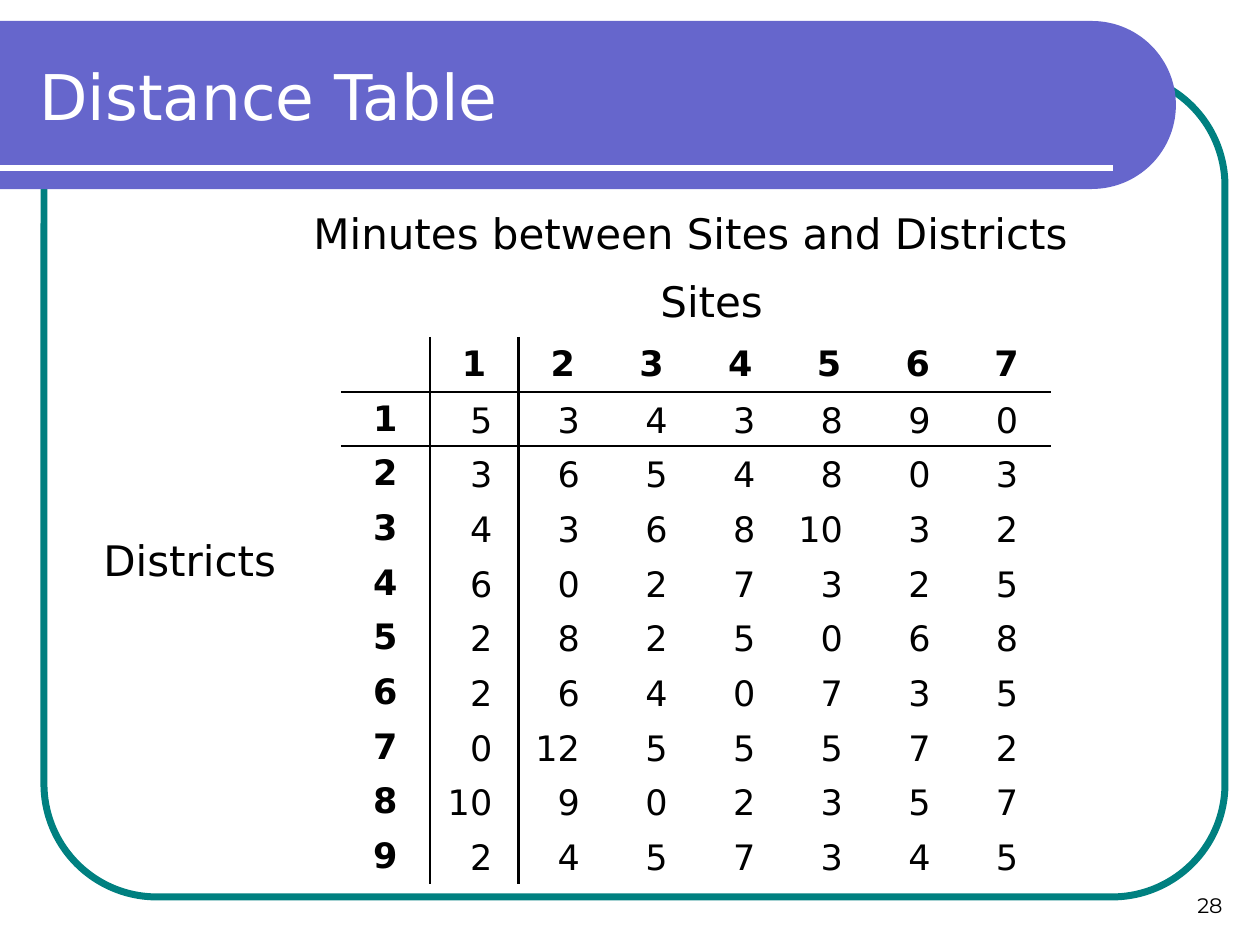
"""Build the distance table slide."""
import math

from lxml import etree
from pptx import Presentation
from pptx.dml.color import RGBColor
from pptx.enum.shapes import MSO_CONNECTOR, MSO_SHAPE
from pptx.enum.text import MSO_ANCHOR, PP_ALIGN
from pptx.oxml.ns import qn
from pptx.util import Pt

PIXEL = 914400 // 126
LEFT, CENTER, RIGHT = PP_ALIGN.LEFT, PP_ALIGN.CENTER, PP_ALIGN.RIGHT
MIDDLE, BOTTOM = MSO_ANCHOR.MIDDLE, MSO_ANCHOR.BOTTOM
ROUNDED = MSO_SHAPE.ROUNDED_RECTANGLE
STRAIGHT = MSO_CONNECTOR.STRAIGHT
PLAIN_TABLE = "{2D5ABB26-0587-4C30-8999-92F81FD0307C}"
COLORS = {"white": "FFFFFF", "black": "000000", "teal": "008080", "violet": "6666CC"}
MINUTES = [
    [5, 3, 4, 3, 8, 9, 0],
    [3, 6, 5, 4, 8, 0, 3],
    [4, 3, 6, 8, 10, 3, 2],
    [6, 0, 2, 7, 3, 2, 5],
    [2, 8, 2, 5, 0, 6, 8],
    [2, 6, 4, 0, 7, 3, 5],
    [0, 12, 5, 5, 5, 7, 2],
    [10, 9, 0, 2, 3, 5, 7],
    [2, 4, 5, 7, 3, 4, 5],
]


def px(*lengths):
    """Turn pixel lengths into EMU."""
    return [round(length * PIXEL) for length in lengths]


def color(name):
    """Return the named color."""
    return RGBColor.from_string(COLORS[name])


def write(frame, text, size=24, font="DejaVu Sans", ink="black", bold=False, align=LEFT):
    """Write formatted text into a text frame."""
    paragraph = frame.paragraphs[0]
    paragraph.alignment = align
    run = paragraph.add_run()
    run.text = text
    run.font.size, run.font.name, run.font.bold = Pt(size), font, bold
    run.font.color.rgb = color(ink)


def add_text(slide, box, text, anchor=MIDDLE, **style):
    """Add a wrapping text box."""
    frame = slide.shapes.add_textbox(*px(*box)).text_frame
    frame.word_wrap = True
    frame.vertical_anchor = anchor
    write(frame, text, **style)


def add_frame(slide, box):
    """Add the rounded outline."""
    shape = slide.shapes.add_shape(ROUNDED, *px(*box))
    shape.adjustments[0] = 0.137
    shape.shadow.inherit = False
    shape.fill.background()
    shape.line.color.rgb = color("teal")
    shape.line.width = Pt(4)


def add_banner(slide, top, straight_width, radius, steps=60):
    """Add a title band with a semicircular right end."""
    angles = [math.pi * (step / steps - 0.5) for step in range(steps + 1)]
    arc = [px(straight_width + radius * math.cos(angle),
              top + radius + radius * math.sin(angle)) for angle in angles]
    builder = slide.shapes.build_freeform(*px(0, top))
    builder.add_line_segments(arc + [px(0, top + 2 * radius)], close=True)
    shape = builder.convert_to_shape()
    shape.shadow.inherit = False
    shape.fill.solid()
    shape.fill.fore_color.rgb = color("violet")
    shape.line.fill.background()


def add_rule(slide, ends):
    """Add the white line under the title."""
    connector = slide.shapes.add_connector(STRAIGHT, *px(*ends))
    connector.line.color.rgb = color("white")
    connector.line.width = Pt(3)
    etree.SubElement(connector._element.spPr, qn("a:effectLst"))


def add_borders(cell, sides):
    """Draw black borders on the given sides, in schema order."""
    properties = cell._tc.get_or_add_tcPr()
    for position, side in enumerate(sides):
        line = etree.Element(qn("a:ln" + side), w=str(Pt(1.5)))
        fill = etree.SubElement(line, qn("a:solidFill"))
        etree.SubElement(fill, qn("a:srgbClr"), val=COLORS["black"])
        properties.insert(position, line)


def heading_sides(row, column):
    """Name the sides that border the row and column headings."""
    rules = [("L", column == 1), ("R", column == 0), ("T", row == 1), ("B", row == 0)]
    return [side for side, wanted in rules if wanted]


def add_grid(slide, corner, widths, height, rows, anchor, sides=None, **style):
    """Add a plain table with equal row heights."""
    shape = slide.shapes.add_table(len(rows), len(widths), *px(*corner, sum(widths), height))
    table = shape.table
    table.first_row = table.horz_banding = False
    table._tbl.tblPr.find(qn("a:tableStyleId")).text = PLAIN_TABLE
    for column, width in zip(table.columns, widths):
        column.width = px(width)[0]
    for row, values in enumerate(rows):
        table.rows[row].height = px(height / len(rows))[0]
        for column, value in enumerate(values):
            cell = table.cell(row, column)
            cell.fill.background()
            cell.vertical_anchor = anchor
            if value != "":
                write(cell.text_frame, str(value), size=20, **style)
            if sides:
                add_borders(cell, sides(row, column))


def main():
    """Build and save the slide."""
    presentation = Presentation()
    presentation.slide_width, presentation.slide_height = px(1260, 945)
    slide = presentation.slides.add_slide(presentation.slide_layouts[6])

    add_frame(slide, (44, 73, 1181, 824))
    add_banner(slide, top=21, straight_width=1092, radius=84)
    add_rule(slide, (0, 168, 1113, 168))
    add_text(slide, (941, 861, 294, 63), "28", anchor=BOTTOM, size=12,
             font="Montserrat", align=RIGHT)
    add_text(slide, (27, 32, 1105, 126), "Distance Table", size=36, ink="white")
    add_text(slide, (301, 201, 801, 63), "Minutes between Sites and Districts")

    sites = range(1, len(MINUTES[0]) + 1)
    headings = [["", *sites]]
    headings += [[district] + [""] * len(sites) for district in range(1, len(MINUTES) + 1)]
    add_grid(slide, (341, 337), [710 / 8] * 8, 546, headings, MIDDLE,
             sides=heading_sides, bold=True, align=CENTER)
    add_text(slide, (648, 269, 159, 63), "Sites")
    add_text(slide, (91, 528, 212, 63), "Districts")
    add_grid(slide, (401, 393), [104] + [526 / 6] * 6, 491, MINUTES, BOTTOM, align=RIGHT)

    presentation.save("out.pptx")


main()
